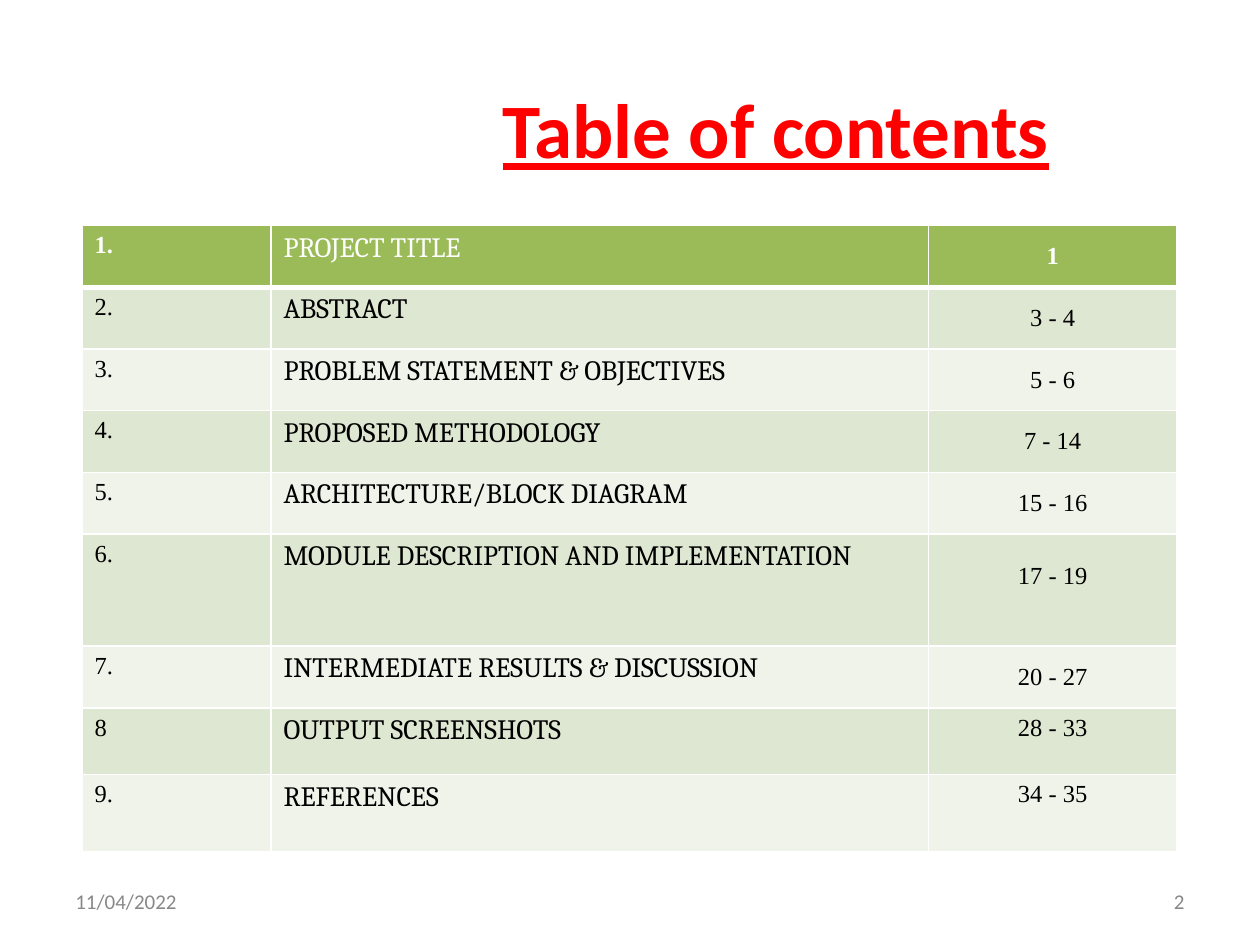
from lxml import etree
from pptx import Presentation
from pptx import util as u
from pptx.dml.color import RGBColor
from pptx.enum import text as t
from pptx.oxml.ns import qn

WHITE, BLACK, GREY, RED = "FFFFFF", "000000", "888888", "FF0000"
GREEN, BANDS = "9BBB59", ("DEE7D1", "EFF3EA")
LEFT, CENTER, RIGHT = t.PP_ALIGN.LEFT, t.PP_ALIGN.CENTER, t.PP_ALIGN.RIGHT
TOP, MIDDLE, BOTTOM = t.MSO_ANCHOR.TOP, t.MSO_ANCHOR.MIDDLE, t.MSO_ANCHOR.BOTTOM


def color(value):
    return RGBColor.from_string(value)


class Page:
    def __init__(self, deck):
        self.slide = deck.slides.add_slide(deck.slide_layouts[6])

    def add_words(self, para, words, tint, align=LEFT, **style):
        para.alignment = align
        span = para.add_run()
        span.text = words
        span.font.color.rgb = color(tint)
        for name, value in style.items():
            setattr(span.font, name, value)

    def label(self, area, words, tint, anchor=MIDDLE, **style):
        box = self.slide.shapes.add_textbox(*map(u.Inches, area))
        frame = box.text_frame
        frame.word_wrap = True
        frame.auto_size = t.MSO_AUTO_SIZE.NONE
        frame.vertical_anchor = anchor
        self.add_words(frame.paragraphs[0], words, tint, name="Calibri", **style)

    def border(self, cell, sides):
        props = cell._tc.get_or_add_tcPr()
        for index, (side, points) in enumerate(sides.items()):
            line = etree.Element(qn("a:ln" + side), w=str(u.Pt(points)))
            fill = etree.SubElement(line, qn("a:solidFill"))
            etree.SubElement(fill, qn("a:srgbClr"), val=WHITE)
            props.insert(index, line)

    def cell(self, cell, words, fill, tint, anchor, sides, **style):
        cell.fill.solid()
        cell.fill.fore_color.rgb = color(fill)
        cell.vertical_anchor = anchor
        self.border(cell, sides)
        self.add_words(cell.text_frame.paragraphs[0], words, tint, **style)

    def table(self, left, top, widths, heights, rows):
        area = map(u.Inches, (left, top, sum(widths), sum(heights)))
        table = self.slide.shapes.add_table(len(rows), len(widths), *area).table
        for column, width in zip(table.columns, widths):
            column.width = u.Inches(width)
        for row, height in zip(table.rows, heights):
            row.height = u.Inches(height)
        number = {"name": "Times New Roman", "size": u.Pt(14)}
        heading = {"name": "Cambria", "size": u.Pt(16), "bold": False}
        for i, words in enumerate(rows):
            header = i == 0
            number["bold"] = header
            fill = GREEN if header else BANDS[(i - 1) % 2]
            tint = WHITE if header else BLACK
            sides = {"L": 1, "R": 1, "T": 3 if i == 1 else 1, "B": 3 if header else 1}
            pages_anchor = MIDDLE if i < len(rows) - 2 else TOP
            formats = (
                dict(number, anchor=TOP),
                dict(heading, anchor=TOP),
                dict(number, anchor=pages_anchor, align=CENTER),
            )
            for j, style in enumerate(formats):
                self.cell(table.cell(i, j), words[j], fill, tint, sides=sides, **style)
        return table


CONTENTS = [
    ("1.", "PROJECT TITLE", "1"),
    ("2.", "ABSTRACT", "3 - 4"),
    ("3.", "PROBLEM STATEMENT &\u00a0OBJECTIVES", "5 - 6"),
    ("4.", "PROPOSED METHODOLOGY", "7 - 14"),
    ("5.", "ARCHITECTURE/BLOCK DIAGRAM", "15 - 16"),
    ("6.", "MODULE DESCRIPTION AND IMPLEMENTATION", "17 - 19"),
    ("7.", "INTERMEDIATE RESULTS &\u00a0DISCUSSION", "20 - 27"),
    ("8", "OUTPUT SCREENSHOTS", "28 - 33"),
    ("9.", "REFERENCES", "34 - 35"),
]

deck = Presentation()
deck.slide_width, deck.slide_height = u.Inches(10), u.Inches(7.5)
page = Page(deck)
page.label((0.5, 6.95, 2.33, 0.4), "11/04/2022", GREY, size=u.Pt(12))
page.label((7.17, 6.95, 2.33, 0.4), "2", GREY, size=u.Pt(12), align=RIGHT)
heights = [0.49] * 5 + [0.89, 0.49, 0.53, 0.61]
table = page.table(0.65, 1.79, (1.5, 5.22, 1.97), heights, CONTENTS)
table.cell(5, 2).margin_bottom = u.Inches(0.27)
page.label((3.89, 0.81, 6, 0.62), "Table of contents", RED, BOTTOM,
           size=u.Pt(44), bold=True, underline=True)
deck.save("out.pptx")
